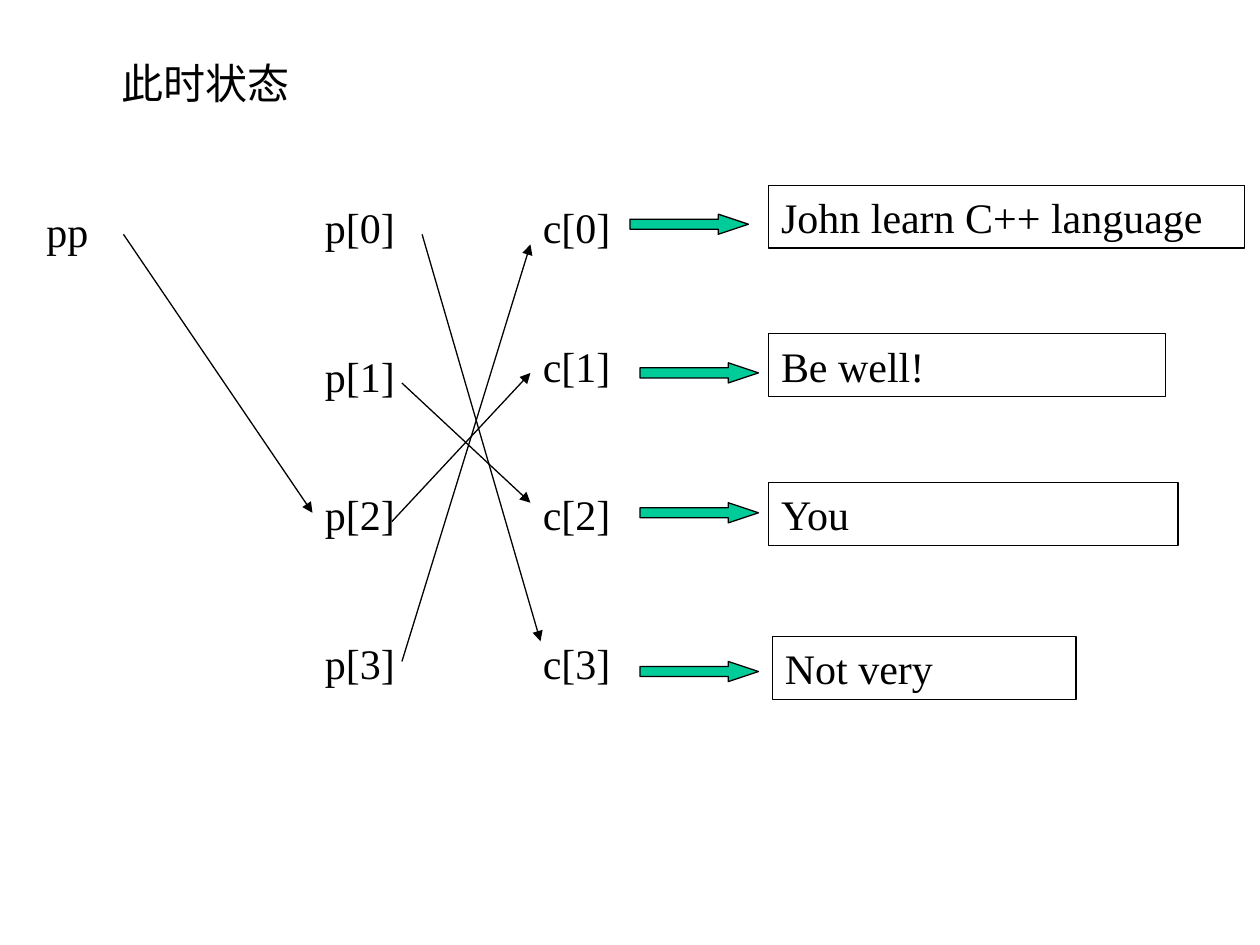
from dataclasses import dataclass

from lxml import etree
from pptx import Presentation
from pptx.dml.color import RGBColor
from pptx.enum.shapes import MSO_CONNECTOR, MSO_SHAPE
from pptx.enum.text import MSO_ANCHOR, PP_ALIGN
from pptx.oxml.ns import qn
from pptx.util import Inches, Pt

RECTANGLE = MSO_SHAPE.RECTANGLE
RIGHT_ARROW = MSO_SHAPE.RIGHT_ARROW
STRAIGHT = MSO_CONNECTOR.STRAIGHT
LEFT = PP_ALIGN.LEFT
TOP = MSO_ANCHOR.TOP


@dataclass(frozen=True)
class Theme:
    ink: RGBColor = RGBColor(0x00, 0x00, 0x00)
    accent: RGBColor = RGBColor(0x00, 0xCC, 0x99)
    font: str = "Times New Roman"
    text_size: Pt = Pt(24)
    line_width: Pt = Pt(0.75)


class SlideBuilder:
    ROW_HEIGHT = 0.5

    def __init__(self, slide, theme):
        self.slide = slide
        self.theme = theme

    def set_text(self, shape, text):
        frame = shape.text_frame
        frame.word_wrap = True
        frame.vertical_anchor = TOP
        paragraph = frame.paragraphs[0]
        paragraph.text = text
        paragraph.alignment = LEFT
        paragraph.font.name = self.theme.font
        paragraph.font.size = self.theme.text_size
        paragraph.font.color.rgb = self.theme.ink

    def outline(self, shape):
        shape.line.color.rgb = self.theme.ink
        shape.line.width = self.theme.line_width

    def label(self, text, left, top, width):
        shape = self.slide.shapes.add_textbox(
            Inches(left), Inches(top), Inches(width), Inches(self.ROW_HEIGHT))
        self.set_text(shape, text)

    def string_box(self, text, left, top, width):
        shape = self.slide.shapes.add_shape(
            RECTANGLE, Inches(left), Inches(top), Inches(width), Inches(self.ROW_HEIGHT))
        shape.shadow.inherit = False
        shape.fill.background()
        self.outline(shape)
        self.set_text(shape, text)

    def block_arrow(self, left, top):
        shape = self.slide.shapes.add_shape(
            RIGHT_ARROW, Inches(left), Inches(top), Inches(0.94), Inches(0.16))
        shape.adjustments[0] = 0.5
        shape.adjustments[1] = 1.5
        shape.shadow.inherit = False
        shape.fill.solid()
        shape.fill.fore_color.rgb = self.theme.accent
        self.outline(shape)

    def pointer(self, start, end):
        """Draw a thin line with an arrowhead at its end."""
        connector = self.slide.shapes.add_connector(
            STRAIGHT, *(Inches(value) for value in (*start, *end)))
        self.outline(connector)
        properties = connector._element.spPr
        etree.SubElement(properties.find(qn("a:ln")), qn("a:tailEnd"), type="triangle")
        etree.SubElement(properties, qn("a:effectLst"))


def main():
    presentation = Presentation()
    presentation.slide_width = Inches(10)
    presentation.slide_height = Inches(7.5)
    slide = presentation.slides.add_slide(presentation.slide_layouts[6])
    builder = SlideBuilder(slide, Theme())

    builder.label("此时状态", 0.87, 0.41, 2.24)
    builder.label("pp", 0.27, 1.58, 0.87)

    strings = [
        ("John learn C++ language", 6.1, 1.47, 3.78),
        ("Be well!", 6.1, 2.65, 3.15),
        ("You", 6.1, 3.83, 3.25),
        ("Not very", 6.13, 5.05, 2.41),
    ]
    for string in strings:
        builder.string_box(*string)

    for index, top in enumerate((1.55, 2.73, 3.83, 5.01)):
        builder.label(f"p[{index}]", 2.48, top, 0.81)
    for index, top in enumerate((1.55, 2.65, 3.83, 5.01)):
        builder.label(f"c[{index}]", 4.21, top, 0.79)

    for left, top in ((5, 1.7), (5.08, 2.88), (5.08, 3.99), (5.08, 5.25)):
        builder.block_arrow(left, top)

    pointers = [
        ((0.98, 1.86), (2.48, 4.07)),  # pp to p[2]
        ((3.35, 1.86), (4.29, 5.09)),  # p[0] to c[3]
        ((3.19, 3.04), (4.21, 3.99)),  # p[1] to c[2]
        ((3.11, 4.14), (4.21, 2.96)),  # p[2] to c[1]
        ((3.19, 5.25), (4.21, 1.94)),  # p[3] to c[0]
    ]
    for start, end in pointers:
        builder.pointer(start, end)

    presentation.save("out.pptx")


if __name__ == "__main__":
    main()
